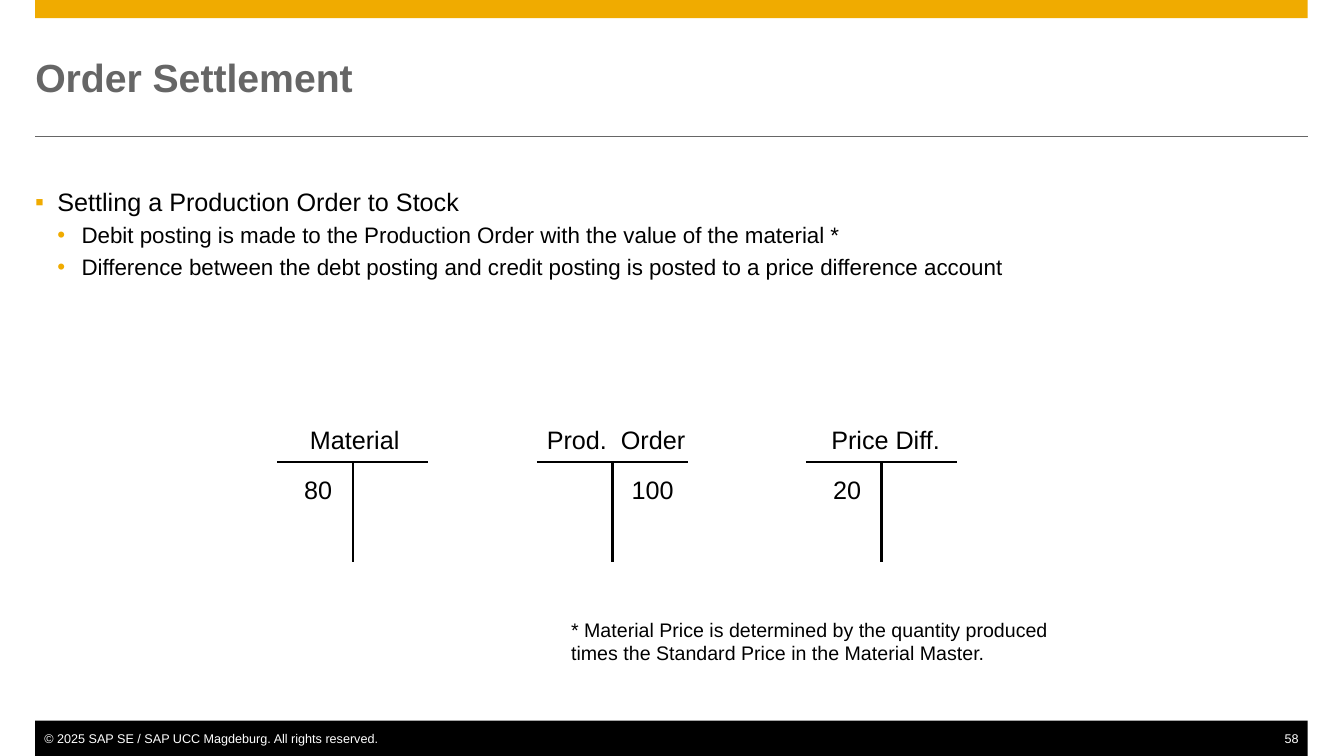
import lxml.etree
import pptx
import pptx.dml.color
import pptx.enum.shapes
import pptx.enum.text
import pptx.oxml.ns
import pptx.util

Pt = pptx.util.Pt
ALIGN = pptx.enum.text.PP_ALIGN
ANCHOR = pptx.enum.text.MSO_ANCHOR
COLOURS = {"gold": "F0AB00", "grey": "666666", "black": "000000", "white": "FFFFFF"}
FONT = "Arial"
MARGIN = 25.2
CONTENT_WIDTH = 909.36
BULLETS = [
    ("Settling a Production Order to Stock", 0),
    ("Debit posting is made to the Production Order with the value of the material *", 1),
    ("Difference between the debt posting and credit posting is posted to a price "
     "difference account", 1),
]
# Character, text size, text indent, hanging indent, space before
BULLET_LEVELS = [("▪", 18, 15.84, 15.84, 0), ("•", 16, 33.12, 17.28, 3.4)]
# Name, left, shift of the name from the stem, amount, side
ACCOUNTS = [
    ("Material", 198, 1.44, "80", "debit"),
    ("Prod.  Order", 383.76, 2.5, "100", "credit"),
    ("Price Diff.", 576, 2.9, "20", "debit"),
]
ACCOUNT_TOP, ACCOUNT_WIDTH, STEM_HEIGHT = 329.76, 108, 72
AMOUNT_OFFSETS = {"debit": 12.24, "credit": 60.48}


def colour(name):
    return pptx.dml.color.RGBColor.from_string(COLOURS[name])


def add_span(para, text, size, shade="black", bold=False):
    span = para.add_run()
    span.text = text
    span.font.name = FONT
    span.font.size = Pt(size)
    span.font.bold = bold
    span.font.color.rgb = colour(shade)


def prepare_frame(frame, insets):
    """Set wrapping and the left, top, right and bottom insets."""
    frame.word_wrap = True
    frame.margin_left, frame.margin_top, frame.margin_right, frame.margin_bottom = map(Pt, insets)


def add_text(page, area, text, size, shade="black", align=ALIGN.LEFT, insets=(7.2, 3.6, 7.2, 3.6)):
    frame = page.shapes.add_textbox(*map(Pt, area)).text_frame
    prepare_frame(frame, insets)
    para = frame.paragraphs[0]
    para.alignment = align
    add_span(para, text, size, shade)


def add_bar(page, area, shade):
    bar = page.shapes.add_shape(pptx.enum.shapes.MSO_SHAPE.RECTANGLE, *map(Pt, area))
    bar.shadow.inherit = False
    bar.fill.solid()
    bar.fill.fore_color.rgb = colour(shade)
    bar.line.fill.background()


def add_line(page, start, end, shade, weight):
    line = page.shapes.add_connector(
        pptx.enum.shapes.MSO_CONNECTOR.STRAIGHT, *map(Pt, start + end))
    line.line.color.rgb = colour(shade)
    line.line.width = Pt(weight)
    properties = line._element.spPr
    lxml.etree.SubElement(properties, pptx.oxml.ns.qn("a:effectLst"))


def add_bullet(para, character, indent, hanging):
    properties = para._p.get_or_add_pPr()
    properties.set("marL", str(Pt(indent)))
    properties.set("indent", str(-Pt(hanging)))
    tint = lxml.etree.SubElement(properties, pptx.oxml.ns.qn("a:buClr"))
    lxml.etree.SubElement(tint, pptx.oxml.ns.qn("a:srgbClr"), val=COLOURS["gold"])
    lxml.etree.SubElement(properties, pptx.oxml.ns.qn("a:buFont"), typeface=FONT)
    lxml.etree.SubElement(properties, pptx.oxml.ns.qn("a:buChar"), char=character)


def add_header(page, left, top, width):
    add_bar(page, (left, top, width, 12.96), "gold")
    title = page.shapes.title
    title.left, title.top, title.width, title.height = map(Pt, (left, top + 25.2, width, 59.76))
    frame = title.text_frame
    prepare_frame(frame, (0, 0, 0, 0))
    frame.auto_size = pptx.enum.text.MSO_AUTO_SIZE.NONE
    frame.vertical_anchor = ANCHOR.MIDDLE
    para = frame.paragraphs[0]
    para.alignment = ALIGN.LEFT
    add_span(para, "Order Settlement", 28, "grey", bold=True)
    add_line(page, (left, top + 97.2), (left + width, top + 97.2), "grey", 0.5)


def add_bullet_list(page, area):
    frame = page.shapes.add_textbox(*map(Pt, area)).text_frame
    prepare_frame(frame, (0, 0, 0, 0))
    for index, (text, level) in enumerate(BULLETS):
        para = frame.add_paragraph() if index else frame.paragraphs[0]
        character, size, indent, hanging, gap = BULLET_LEVELS[level]
        para.level = level
        add_bullet(para, character, indent, hanging)
        if gap:
            para.space_before = Pt(gap)
        add_span(para, text, size)


def add_account(page, left, top, width, height, name, shift, amount, side):
    """Draw a T-account with its name above and one amount beside the stem."""
    stem = left + width / 2
    add_line(page, (left, top), (left + width, top), "black", 1.5)
    add_line(page, (stem, top), (stem, top + height), "black", 1.5)
    name_width = 126
    add_text(page, (stem + shift - name_width / 2, top - 30.24, name_width, 28.8),
             name, 18, align=ALIGN.CENTER)
    add_text(page, (left + AMOUNT_OFFSETS[side], top + 5.76, 54, 28.8), amount, 18)


def add_footer(page, left, top, width, height):
    add_bar(page, (left, top, width, height), "black")
    text_top, number_width = top + 7.2, 36
    add_text(page, (left, text_top, 300, 10.8),
             "© 2025 SAP SE / SAP UCC Magdeburg. All rights reserved.", 9, "white",
             insets=(6.48, 0, 0, 0))
    add_text(page, (left + width - number_width, text_top, number_width, 10.8),
             "58", 9, "white", ALIGN.RIGHT, (0, 0, 6.48, 0))


def main():
    deck = pptx.Presentation()
    deck.slide_width, deck.slide_height = Pt(960.48), Pt(540)
    page = deck.slides.add_slide(deck.slide_layouts[5])
    add_header(page, MARGIN, 0, CONTENT_WIDTH)
    add_bullet_list(page, (MARGIN, 133.2, CONTENT_WIDTH, 80))
    for name, left, shift, amount, side in ACCOUNTS:
        add_account(page, left, ACCOUNT_TOP, ACCOUNT_WIDTH, STEM_HEIGHT,
                    name, shift, amount, side)
    add_text(page, (401.04, 437.76, 360.72, 41.04),
             "* Material Price is determined by the quantity produced times the "
             "Standard Price in the Material Master.", 14)
    add_footer(page, MARGIN, 514.8, CONTENT_WIDTH, 25.2)
    deck.save("out.pptx")


if __name__ == "__main__":
    main()
